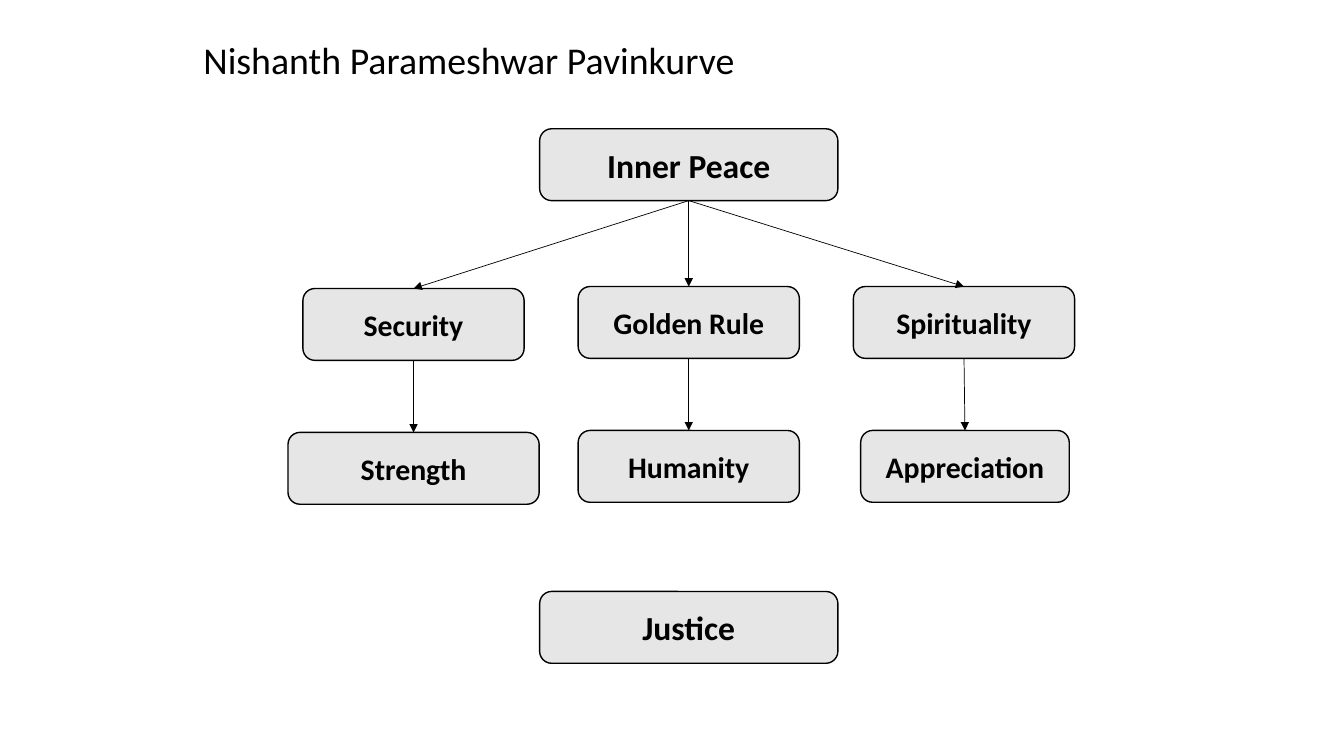
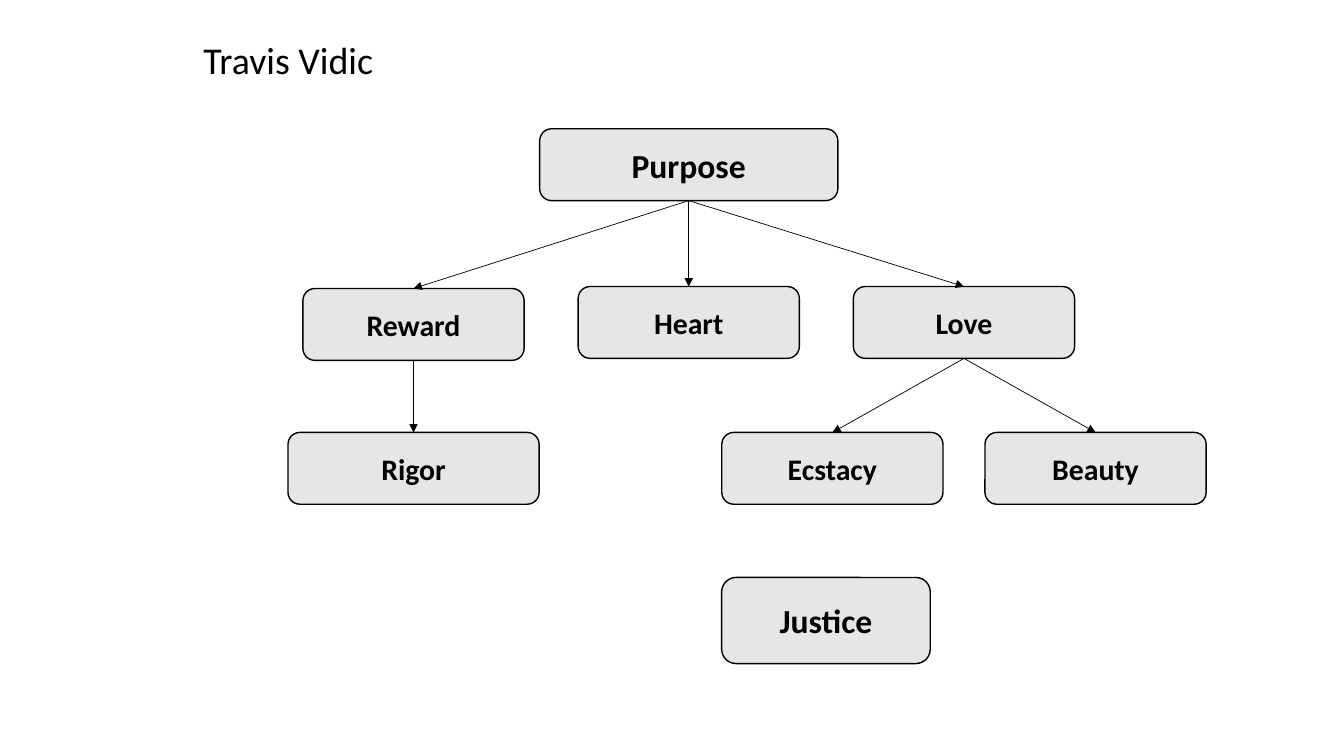
from lxml import etree
from pptx import Presentation
from pptx.dml.color import RGBColor
from pptx.enum import shapes, text
from pptx.oxml import ns
from pptx.util import Pt

BLACK = RGBColor(0x00, 0x00, 0x00)
GREY = RGBColor(0xE7, 0xE6, 0xE6)
FONT = "Calibri"
TITLE_SIZE, LARGE, SMALL = 27, 24, 21.3

HEIGHT = 51.3
WIDE, STANDARD, NARROW, LEAF = 213, 158, 149, 179.4
MIDDLE, COLUMN_STEP = 492, 196.6
LEFT, RIGHT = MIDDLE - COLUMN_STEP, MIDDLE + COLUMN_STEP
ROOT_TOP, BRANCH_TOP, LEAF_TOP = 92, 204.7, 307.5
DROP = 1.4  # the left branch sits slightly lower than the others

# Each box: label, parent label, centre x, top, width, height, text size
SLIDES = [
    ("Nishanth Parameshwar Pavinkurve", [
        ("Inner Peace", None, MIDDLE, ROOT_TOP, WIDE, HEIGHT, LARGE),
        ("Security", "Inner Peace", LEFT, BRANCH_TOP + DROP, STANDARD, HEIGHT, SMALL),
        ("Golden Rule", "Inner Peace", MIDDLE, BRANCH_TOP, STANDARD, HEIGHT, SMALL),
        ("Spirituality", "Inner Peace", RIGHT, BRANCH_TOP, STANDARD, HEIGHT, SMALL),
        ("Strength", "Security", LEFT, LEAF_TOP + DROP, LEAF, HEIGHT, SMALL),
        ("Humanity", "Golden Rule", MIDDLE, LEAF_TOP, STANDARD, HEIGHT, SMALL),
        ("Appreciation", "Spirituality", 689.3, LEAF_TOP, NARROW, HEIGHT, SMALL),
        ("Justice", None, MIDDLE, 422.5, WIDE, HEIGHT, LARGE),
    ]),
    ("Travis Vidic", [
        ("Purpose", None, MIDDLE, ROOT_TOP, WIDE, HEIGHT, LARGE),
        ("Reward", "Purpose", LEFT, BRANCH_TOP + DROP, STANDARD, HEIGHT, SMALL),
        ("Heart", "Purpose", MIDDLE, BRANCH_TOP, STANDARD, HEIGHT, SMALL),
        ("Love", "Purpose", RIGHT, BRANCH_TOP, STANDARD, HEIGHT, SMALL),
        ("Rigor", "Reward", LEFT, LEAF_TOP + DROP, LEAF, HEIGHT, SMALL),
        ("Ecstacy", "Love", RIGHT - 94, LEAF_TOP + DROP, STANDARD, HEIGHT, SMALL),
        ("Beauty", "Love", RIGHT + 94, LEAF_TOP + DROP, STANDARD, HEIGHT, SMALL),
        ("Justice", None, 590, 412.5, NARROW, 61.5, LARGE),
    ]),
]


def write(box, words, size, align, bold):
    frame = box.text_frame
    frame.word_wrap = True
    frame.vertical_anchor = text.MSO_ANCHOR.MIDDLE
    para = frame.paragraphs[0]
    para.text = words
    para.alignment = align
    font = para.font
    font.name, font.size, font.bold = FONT, Pt(size), bold
    font.color.rgb = BLACK


def add_arrow(page, parent, child):
    """Join the bottom of parent to the top of child."""
    arrow = page.shapes.add_connector(shapes.MSO_CONNECTOR.STRAIGHT, 0, 0, 0, 0)
    arrow.begin_connect(parent, 2)
    arrow.end_connect(child, 0)
    arrow.line.color.rgb = BLACK
    arrow.line.width = Pt(0.5)
    properties = arrow._element.spPr
    line = properties.find(ns.qn("a:ln"))
    etree.SubElement(line, ns.qn("a:tailEnd"), type="triangle")
    etree.SubElement(properties, ns.qn("a:effectLst"))


deck = Presentation()
deck.slide_width, deck.slide_height = Pt(960), Pt(540)

for title, boxes in SLIDES:
    page = deck.slides.add_slide(deck.slide_layouts[6])
    heading = page.shapes.add_textbox(Pt(138.2), Pt(23), Pt(566), Pt(38.2))
    write(heading, title, TITLE_SIZE, text.PP_ALIGN.LEFT, False)

    placed = {}
    for label, parent, centre, top, width, height, size in boxes:
        box = page.shapes.add_shape(
            shapes.MSO_SHAPE.ROUNDED_RECTANGLE,
            Pt(centre - width / 2), Pt(top), Pt(width), Pt(height))
        box.shadow.inherit = False
        box.fill.solid()
        box.fill.fore_color.rgb = GREY
        box.line.color.rgb = BLACK
        box.line.width = Pt(1)
        write(box, label, size, text.PP_ALIGN.CENTER, True)
        placed[label] = box
        if parent:
            add_arrow(page, placed[parent], box)

deck.save("out.pptx")
